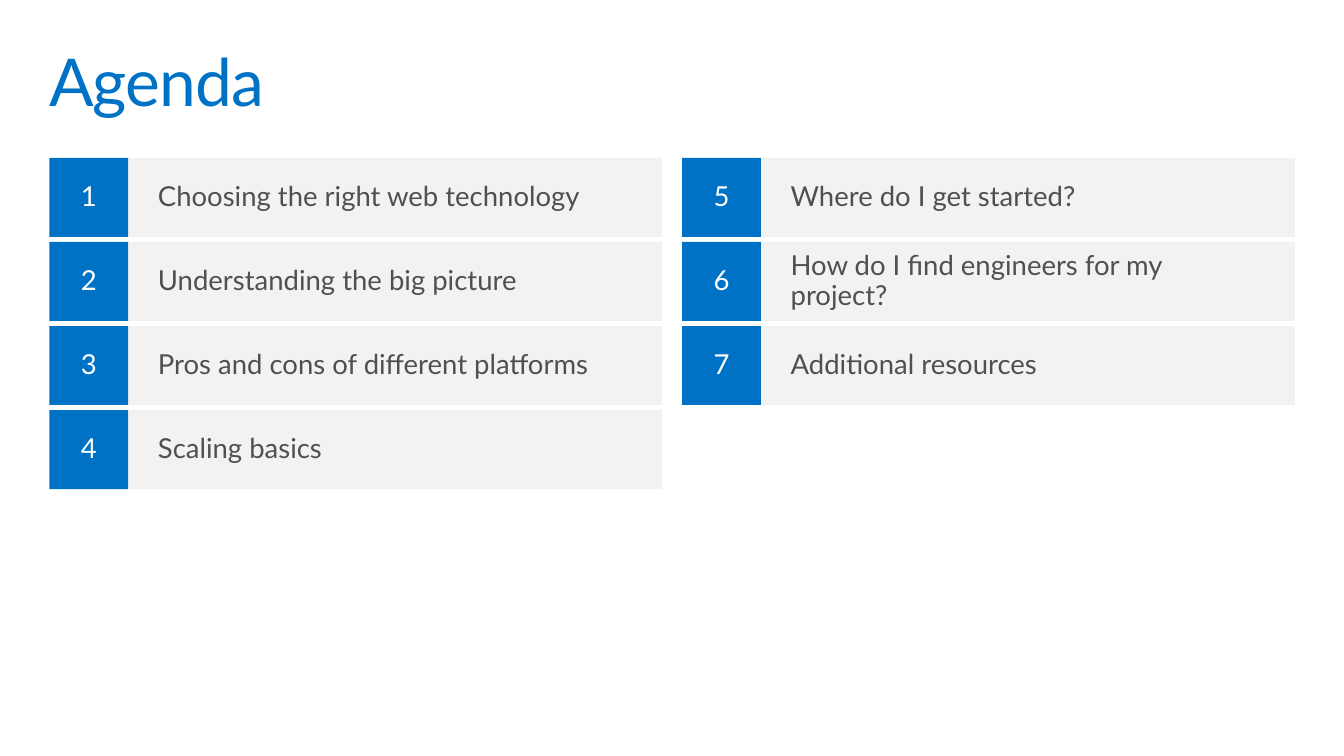
from pptx import Presentation
from pptx import util as u
from pptx.dml.color import RGBColor
from pptx.enum import shapes, text

BLUE = RGBColor(0x00, 0x72, 0xC6)
PALE_GREY = RGBColor(0xF2, 0xF2, 0xF2)
DARK_GREY = RGBColor(0x50, 0x50, 0x50)
WHITE = RGBColor(0xFF, 0xFF, 0xFF)

FONT = "Lato"
ROWS = 4
LEFT, TOP = 1.27, 4.06
COLUMN_STEP, ROW_STEP = 16.26, 2.16
NUMBER_SIZE, TOPIC_WIDTH = 2.03, 13.72

TOPICS = [
    "Choosing the right web technology",
    "Understanding the big picture",
    "Pros and cons of different platforms",
    "Scaling basics",
    "Where do I get started?",
    "How do I find engineers for my project?",
    "Additional resources",
]


def write(sp, content, size, color, align, anchor, margin_x, margin_y):
    """Fill a shape with one paragraph and return its run."""
    tf = sp.text_frame
    frame_format = {
        "word_wrap": True,
        "vertical_anchor": anchor,
        "margin_left": u.Cm(margin_x),
        "margin_right": u.Cm(margin_x),
        "margin_top": u.Cm(margin_y),
        "margin_bottom": u.Cm(margin_y),
    }
    for name, value in frame_format.items():
        setattr(tf, name, value)
    p = tf.paragraphs[0]
    p.alignment = align
    p.line_spacing = 0.9
    r = p.add_run()
    r.text = content
    for name, value in {"name": FONT, "size": u.Pt(size)}.items():
        setattr(r.font, name, value)
    r.font.color.rgb = color
    return r


def add_title(s, content):
    sp = s.shapes.add_textbox(u.Cm(1.02), u.Cm(1.02), u.Cm(32.51), u.Cm(2.54))
    r = write(sp, content, 48, BLUE, text.PP_ALIGN.LEFT,
              text.MSO_ANCHOR.TOP, 0.25, 0.25)
    r.font._element.set("spc", "-70")


def add_box(s, x, y, width, fill, content, color, align, margin_x, margin_y):
    sp = s.shapes.add_shape(shapes.MSO_SHAPE.RECTANGLE, u.Cm(x), u.Cm(y),
                            u.Cm(width), u.Cm(NUMBER_SIZE))
    sp.shadow.inherit = False
    sp.fill.solid()
    sp.fill.fore_color.rgb = fill
    sp.line.fill.background()
    write(sp, content, 20, color, align, text.MSO_ANCHOR.MIDDLE,
          margin_x, margin_y)


def add_agenda_item(s, index, topic):
    column, row = divmod(index, ROWS)
    x = LEFT + column * COLUMN_STEP
    y = TOP + row * ROW_STEP
    add_box(s, x, y, NUMBER_SIZE, BLUE, str(index + 1), WHITE,
            text.PP_ALIGN.CENTER, 0.51, 0.41)
    add_box(s, x + NUMBER_SIZE, y, TOPIC_WIDTH, PALE_GREY, topic, DARK_GREY,
            text.PP_ALIGN.LEFT, 0.76, 0.25)


def main():
    prs = Presentation()
    prs.slide_width, prs.slide_height = u.Cm(34.54), u.Cm(19.43)
    s = prs.slides.add_slide(prs.slide_layouts[6])
    add_title(s, "Agenda")
    for index, topic in enumerate(TOPICS):
        add_agenda_item(s, index, topic)
    prs.save("out.pptx")


if __name__ == "__main__":
    main()
